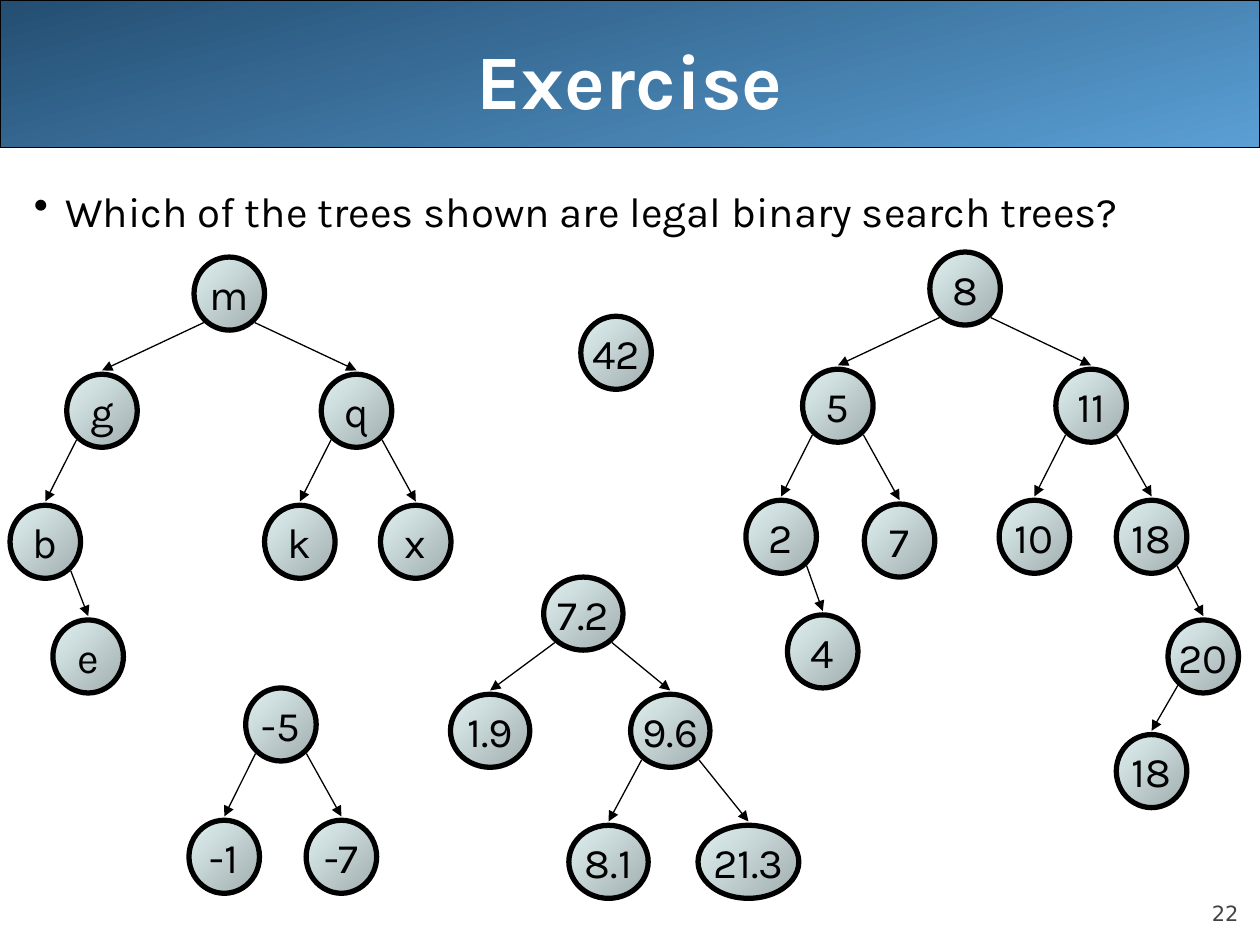
from dataclasses import dataclass
from typing import Optional

from lxml import etree
from pptx import Presentation
from pptx.dml import color
from pptx.enum import shapes, text
from pptx.oxml import ns
from pptx.util import Inches, Pt

NODE_HEIGHT = 0.58
NODE_WIDTHS = {1: 0.56, 2: 0.56, 3: 0.63, 4: 0.8}


@dataclass
class Node:
    """A tree node: its label, centre x and top within the tree's box, and children."""
    label: str
    x: float
    y: float
    left: Optional["Node"] = None
    right: Optional["Node"] = None


LETTERS = Node(
    "m", 1.74, 0,
    Node("g", 0.73, 0.93, Node("b", 0.28, 1.97, right=Node("e", 0.62, 2.88))),
    Node("q", 2.75, 0.93, Node("k", 2.3, 1.97), Node("x", 3.22, 1.97)))
INTEGERS = Node(
    "8", 1.74, 0,
    Node("5", 0.73, 0.93,
         Node("2", 0.28, 1.97, right=Node("4", 0.61, 2.88)),
         Node("7", 1.22, 2)),
    Node("11", 2.74, 0.93,
         Node("10", 2.29, 1.97),
         Node("18", 3.22, 1.97,
              right=Node("20", 3.63, 2.92, Node("18", 3.22, 3.83)))))
SINGLE = Node("42", 0.28, 0)
NEGATIVES = Node("-5", 0.73, 0, Node("-1", 0.28, 1.05), Node("-7", 1.21, 1.05))
DECIMALS = Node(
    "7.2", 1.05, 0,
    Node("1.9", 0.31, 0.93),
    Node("9.6", 1.74, 0.93, Node("8.1", 1.25, 1.97), Node("21.3", 2.36, 1.97)))
TREES = [(LETTERS, 0.08, 2.04), (INTEGERS, 5.92, 2), (SINGLE, 4.61, 2.51),
         (NEGATIVES, 1.5, 5.46), (DECIMALS, 3.58, 4.58)]


def rgb(value):
    """Return the colour for a hex string."""
    return color.RGBColor.from_string(value)


def set_all(target, values):
    """Set every named attribute on the target."""
    for name, value in values.items():
        setattr(target, name, value)


def paint(shape, start, end, angle, line_width):
    """Give a shape a two-colour gradient and a black outline."""
    shape.shadow.inherit = False
    shape.fill.gradient()
    shape.fill.gradient_angle = angle
    for stop, value in zip(shape.fill.gradient_stops, (start, end)):
        stop.color.rgb = rgb(value)
    shape.line.color.rgb = rgb("000000")
    shape.line.width = Pt(line_width)


def write(shape, words, size, ink="000000", font="Karla", bold=False,
          align=text.PP_ALIGN.CENTER, anchor=text.MSO_ANCHOR.MIDDLE,
          wrap=True, margin=None, before=0):
    """Write one formatted paragraph into a shape and return it."""
    frame = shape.text_frame
    set_all(frame, {"word_wrap": wrap, "vertical_anchor": anchor})
    if margin is not None:
        sides = ("left", "top", "right", "bottom")
        set_all(frame, {f"margin_{side}": Inches(margin) for side in sides})
    para = frame.paragraphs[0]
    set_all(para, {"alignment": align, "space_before": Pt(before)})
    span = para.add_run()
    span.text = words
    set_all(span.font, {"name": font, "size": Pt(size), "bold": bold})
    span.font.color.rgb = rgb(ink)
    return para


def add_header(page, left, top, width, height):
    """Draw the title band and the title."""
    band = page.shapes.add_shape(
        shapes.MSO_SHAPE.ROUNDED_RECTANGLE,
        Inches(left), Inches(top), Inches(width), Inches(height))
    band.adjustments[0] = 0
    paint(band, "244E72", "5A9FD4", 285, 0.75)
    title = page.shapes.add_textbox(
        Inches(left + 0.5), Inches(top), Inches(width - 1), Inches(height + 0.08))
    write(title, "Exercise", 44, "FFFFFF", bold=True)


def add_question(page, left, top, width, height):
    """Write the bulleted question."""
    box = page.shapes.add_textbox(
        Inches(left), Inches(top), Inches(width), Inches(height))
    para = write(box, "Which of the trees shown are legal binary search trees?", 24,
                 align=text.PP_ALIGN.LEFT, anchor=text.MSO_ANCHOR.TOP, before=6)
    layout = para._p.get_or_add_pPr()
    layout.set("marL", str(Inches(0.25)))
    layout.set("indent", str(Inches(-0.25)))
    etree.SubElement(layout, ns.qn("a:buChar"), char="•")


def add_page_number(page, left, top, width, height):
    """Write the page number."""
    box = page.shapes.add_textbox(
        Inches(left), Inches(top), Inches(width), Inches(height))
    write(box, "22", 12, "424242", "DejaVu Sans", align=text.PP_ALIGN.RIGHT,
          anchor=text.MSO_ANCHOR.BOTTOM, margin=0, before=5)


def add_arrow(canvas, start, end):
    """Draw a thin arrow between two points."""
    arrow = canvas.add_connector(
        shapes.MSO_CONNECTOR.STRAIGHT, *map(Inches, (*start, *end)))
    arrow.line.color.rgb = rgb("000000")
    arrow.line.width = Pt(0.75)
    etree.SubElement(arrow.line._get_or_add_ln(), ns.qn("a:tailEnd"), type="triangle")
    etree.SubElement(arrow._element.spPr, ns.qn("a:effectLst"))


def add_tree(canvas, node, left, top):
    """Draw a node and its subtrees relative to the tree's box."""
    width = NODE_WIDTHS[len(node.label)]
    x, y = left + node.x, top + node.y
    circle = canvas.add_shape(
        shapes.MSO_SHAPE.OVAL,
        Inches(x - width / 2), Inches(y), Inches(width), Inches(NODE_HEIGHT))
    paint(circle, "A1ADAE", "E1F2F3", 135, 3)
    write(circle, node.label, 24, wrap=False)
    for child, side in ((node.left, -1), (node.right, 1)):
        if child:
            add_tree(canvas, child, left, top)
            add_arrow(canvas, (x + side * 0.36 * width, y + 0.52),
                      (left + child.x, top + child.y - 0.03))


def main():
    """Build the exercise slide."""
    deck = Presentation()
    set_all(deck, {"slide_width": Inches(10), "slide_height": Inches(7.5)})
    page = deck.slides.add_slide(deck.slide_layouts[6])
    add_header(page, 0, 0, 10, 1.17)
    add_page_number(page, 9, 6.95, 0.83, 0.4)
    add_question(page, 0.17, 1.42, 9.83, 5.67)
    for root, left, top in TREES:
        grouped = root.left or root.right
        canvas = page.shapes.add_group_shape().shapes if grouped else page.shapes
        add_tree(canvas, root, left, top)
    deck.save("out.pptx")


if __name__ == "__main__":
    main()
